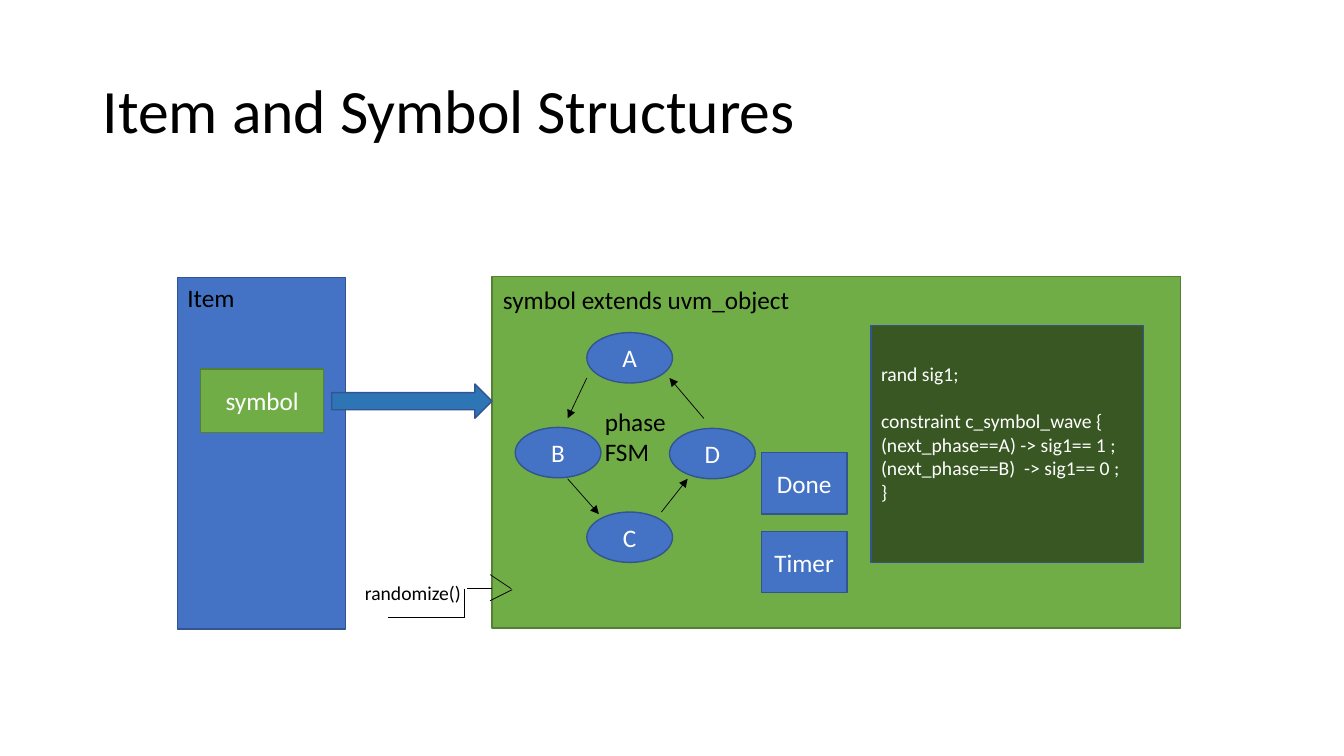
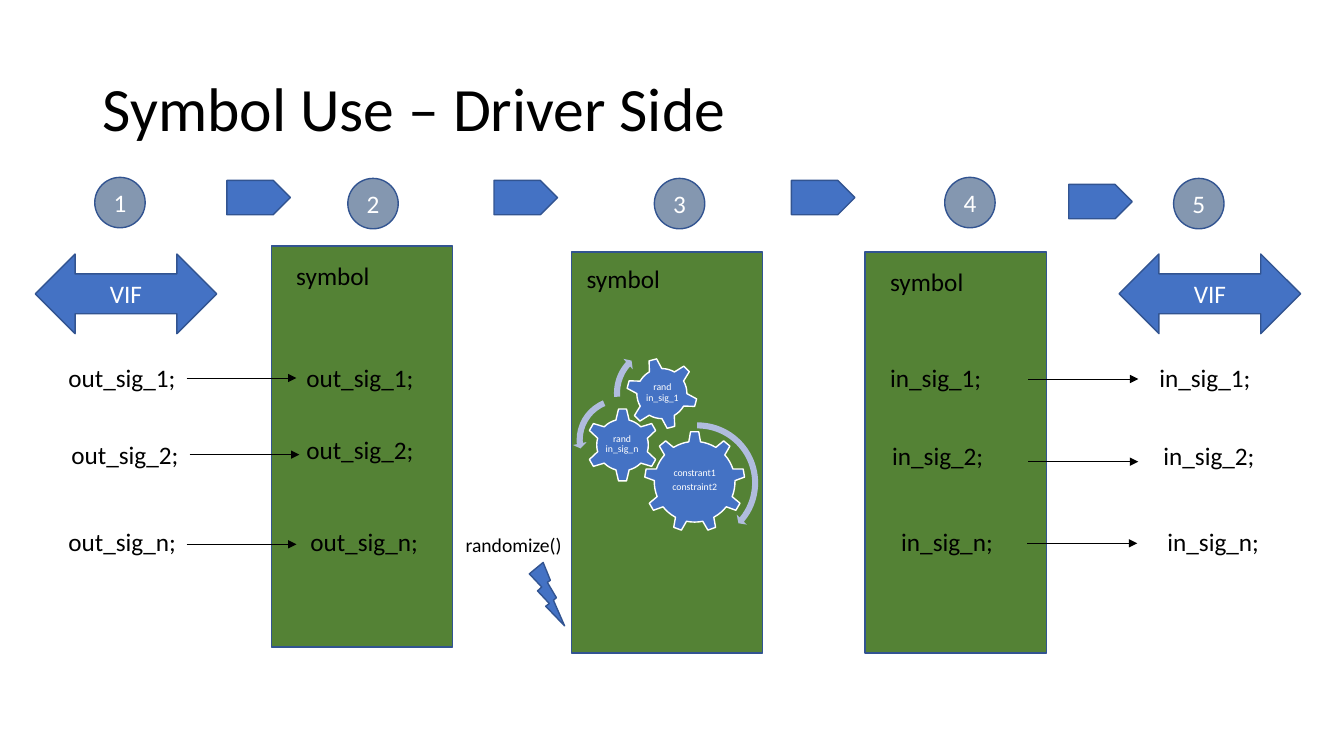
from dataclasses import dataclass
from pptx import Presentation
from pptx.dml.color import RGBColor
from pptx.enum.shapes import MSO_CONNECTOR, MSO_SHAPE
from pptx.enum.text import MSO_ANCHOR, PP_ALIGN
from pptx.oxml import parse_xml
from pptx.oxml.ns import nsdecls, qn
from pptx.util import Inches, Pt


@dataclass(frozen=True)
class Theme:
    font: str = "Calibri"
    cols: float = 13.33
    rows: float = 7.5
    ink: str = "000000"
    white: str = "FFFFFF"
    blue: str = "4472C4"
    edge: str = "325491"
    deep: str = "2E75B6"
    slate: str = "8497B0"
    pale: str = "B0BCDE"
    green: str = "70AD47"
    rim: str = "538035"
    moss: str = "548235"
    dark: str = "385723"
    head: int = 44
    body: int = 18
    small: int = 14
    tiny: int = 7


T = Theme()
WIDE, HIGH = Inches(T.cols), Inches(T.rows)


def col(n):
    return round(WIDE * n / T.cols)


def row(n):
    return round(HIGH * n / T.rows)


def place(x, y, w, h):
    return col(x), row(y), col(w), row(h)


def tint(name):
    return RGBColor.from_string(name)


def write(frame, lines, size, ink, align=PP_ALIGN.LEFT, lead=None, after=None):
    frame.word_wrap = True
    for i, line in enumerate(lines):
        para = frame.paragraphs[0] if i == 0 else frame.add_paragraph()
        para.alignment = align
        if lead:
            para.line_spacing = lead
        if after:
            para.space_after = Pt(after)
        run = para.add_run()
        run.text = line
        run.font.name = T.font
        run.font.size = Pt(size)
        run.font.color.rgb = tint(ink)


def block(shapes, kind, box, fill=T.blue, edge=T.edge, text=None):
    shape = shapes.add_shape(kind, *place(*box))
    shape.shadow.inherit = False
    shape.fill.solid()
    shape.fill.fore_color.rgb = tint(fill)
    if edge:
        shape.line.color.rgb = tint(edge)
        shape.line.width = Pt(1)
    else:
        shape.line.fill.background()
    if text:
        shape.text_frame.vertical_anchor = MSO_ANCHOR.MIDDLE
        write(shape.text_frame, [text], T.body, T.white, PP_ALIGN.CENTER)
    return shape


def label(shapes, text, x, y, w, h=0.4, size=T.body):
    box = shapes.add_textbox(*place(x, y, w, h))
    write(box.text_frame, [text], size, T.ink)


def link(shapes, start, end, head=True):
    line = shapes.add_connector(
        MSO_CONNECTOR.STRAIGHT,
        col(start[0]), row(start[1]), col(end[0]), row(end[1]))
    line.line.color.rgb = tint(T.ink)
    line.line.width = Pt(0.5)
    props = line._element.spPr
    if head:
        props.find(qn("a:ln")).append(
            parse_xml(f'<a:tailEnd {nsdecls("a")} type="triangle"/>'))
    props.append(parse_xml(f'<a:effectLst {nsdecls("a")}/>'))


def start(deck, text, top):
    slide = deck.slides.add_slide(deck.slide_layouts[5])
    title = slide.shapes.title
    title.left, title.top, title.width, title.height = place(0.92, top, 11.5, 1.45)
    title.text_frame.vertical_anchor = MSO_ANCHOR.MIDDLE
    write(title.text_frame, [text], T.head, T.ink, lead=0.9)
    return slide.shapes


def code(shapes, box, lines, gap):
    panel = block(shapes, MSO_SHAPE.RECTANGLE, box, T.dark)
    frame = panel.text_frame
    frame.vertical_anchor = MSO_ANCHOR.MIDDLE
    frame.margin_bottom = row(0.28)
    write(frame, lines, T.small, T.white)
    frame.paragraphs[gap].space_before = Pt(17)


def gear(shapes, kind, box, hub, lines, turn=0):
    block(shapes, kind, box, edge=T.white).rotation = turn
    text = shapes.add_textbox(*place(*hub)).text_frame
    text.vertical_anchor = MSO_ANCHOR.MIDDLE
    text.margin_left = text.margin_right = col(0.01)
    text.margin_top = text.margin_bottom = row(0.01)
    write(text, lines, T.tiny, T.white, PP_ALIGN.CENTER, 0.9, 2.5)


def curl(shapes, kind, x, y, size, bends):
    arc = block(shapes, kind, (x, y, size, size), T.pale, None)
    for i, bend in enumerate(bends):
        arc.adjustments[i] = bend


def gears(shapes):
    group = shapes.add_group_shape().shapes
    gear(group, MSO_SHAPE.GEAR_9, (6.39, 4.28, 1, 1), (6.59, 4.51, 0.6, 0.51),
         ["constrant1", "constraint2"])
    gear(group, MSO_SHAPE.GEAR_6, (5.81, 4.05, 0.73, 0.73),
         (5.99, 4.23, 0.36, 0.36), ["rand in_sig_n"])
    gear(group, MSO_SHAPE.GEAR_6, (6.21, 3.55, 0.71, 0.71),
         (6.37, 3.7, 0.4, 0.4), ["rand in_sig_1"], 345)
    curl(group, MSO_SHAPE.CIRCULAR_ARROW, 6.28, 4.15, 1.28,
         (0.047, 2.99, 23.9, 161.665, 0.055))
    curl(group, MSO_SHAPE.LEFT_CIRCULAR_ARROW, 5.68, 3.9, 0.93,
         (0.065, 4.3, 104.891, 148.378, 0.075))
    curl(group, MSO_SHAPE.CIRCULAR_ARROW, 6.05, 3.4, 1,
         (0.06, 3.941, 133.138, 105.082, 0.07))


def model(deck):
    shapes = start(deck, "Item and Symbol Structures", 0.4)
    rect = MSO_SHAPE.RECTANGLE
    block(shapes, rect, (1.76, 2.75, 1.67, 3.49))
    block(shapes, rect, (1.99, 3.66, 1.22, 0.63), T.green, T.rim, "symbol")
    label(shapes, "Item", 1.76, 2.75, 0.75)
    block(shapes, rect, (4.88, 2.74, 6.83, 3.49), T.green, T.rim)
    block(shapes, MSO_SHAPE.RIGHT_ARROW, (3.29, 3.81, 1.59, 0.34), T.deep)
    for name, x, y in (("A", 5.82, 3.3), ("B", 5.11, 4.24),
                       ("C", 5.82, 5.08), ("D", 6.64, 4.25)):
        block(shapes, MSO_SHAPE.OVAL, (x, y, 0.85, 0.5), text=name)
    label(shapes, "symbol extends uvm_object", 4.89, 2.77, 3.56)
    label(shapes, "phase FSM", 5.9, 3.98, 1.09, 0.71)
    for tail, tip in (((5.82, 3.75), (5.63, 4.15)), ((5.63, 4.75), (5.94, 5.1)),
                      ((6.56, 5.08), (6.82, 4.75)), ((6.98, 4.15), (6.64, 3.75))):
        link(shapes, tail, tip)
    code(shapes, (8.64, 3.23, 2.7, 2.35),
         ["rand sig1;", "constraint c_symbol_wave {",
          "(next_phase==A) -> sig1== 1 ;",
          "(next_phase==B)  -> sig1== 0 ;", "}"], 1)
    for tail, tip in (((4.86, 5.7), (5.07, 5.84)), ((5.08, 5.85), (4.86, 5.96)),
                      ((4.88, 5.84), (4.63, 5.84)), ((4.61, 5.84), (4.61, 6.12)),
                      ((3.85, 6.12), (4.61, 6.12))):
        link(shapes, tail, tip, False)
    label(shapes, "randomize()", 3.52, 5.71, 1.28, 0.34, T.small)
    for i, name in enumerate(("Done", "Timer")):
        block(shapes, rect, (7.55, 4.49 + 0.78 * i, 0.85, 0.61), text=name)


def drive(deck):
    shapes = start(deck, "Symbol Use – Driver Side", 0.38)
    for x, y, w, side, top in ((2.69, 2.44, 1.8, 2.84, 2.53),
                               (5.67, 2.5, 1.89, 5.72, 2.56),
                               (8.58, 2.5, 1.8, 8.73, 2.59)):
        block(shapes, MSO_SHAPE.RECTANGLE, (x, y, w, 3.98), T.moss)
        label(shapes, "symbol", side, top, 1.24)
    gears(shapes)
    block(shapes, MSO_SHAPE.LIGHTNING_BOLT, (5.25, 5.58, 0.35, 0.63))
    label(shapes, "randomize()", 4.52, 5.24, 1.2, 0.34, T.small)
    steps = ((0.94, 1.76), (3.45, 1.77), (6.49, 1.77), (9.37, 1.76), (11.64, 1.77))
    for i, (x, y) in enumerate(steps, 1):
        block(shapes, MSO_SHAPE.FLOWCHART_CONNECTOR, (x, y, 0.5, 0.5),
              T.slate, text=str(i))
    for x, y in ((2.25, 1.79), (4.9, 1.79), (7.85, 1.79), (10.6, 1.83)):
        block(shapes, MSO_SHAPE.PENTAGON, (x, y, 0.63, 0.34))
    for x in (0.35, 11.1):
        block(shapes, MSO_SHAPE.LEFT_RIGHT_ARROW, (x, 2.52, 1.8, 0.79), text="VIF")
    lanes = (("out", 1.3, ((0.58, 3.55), (0.61, 4.31), (0.58, 5.17))),
             ("out", 1.3, ((2.94, 3.55), (2.94, 4.26), (2.98, 5.17))),
             ("in", 1.12, ((8.73, 3.55), (8.75, 4.32), (8.84, 5.17))),
             ("in", 1.12, ((11.4, 3.55), (11.44, 4.32), (11.48, 5.17))))
    for way, w, spots in lanes:
        for key, (x, y) in zip("12n", spots):
            label(shapes, f"{way}_sig_{key};", x, y, w)
    for x, y in ((1.85, 3.75), (1.88, 4.51), (1.85, 5.4),
                 (10.2, 3.76), (10.2, 4.58), (10.19, 5.39)):
        link(shapes, (x, y), (x + 1.09, y))


def main():
    deck = Presentation()
    deck.slide_width, deck.slide_height = WIDE, HIGH
    model(deck)
    drive(deck)
    deck.save("out.pptx")


main()
